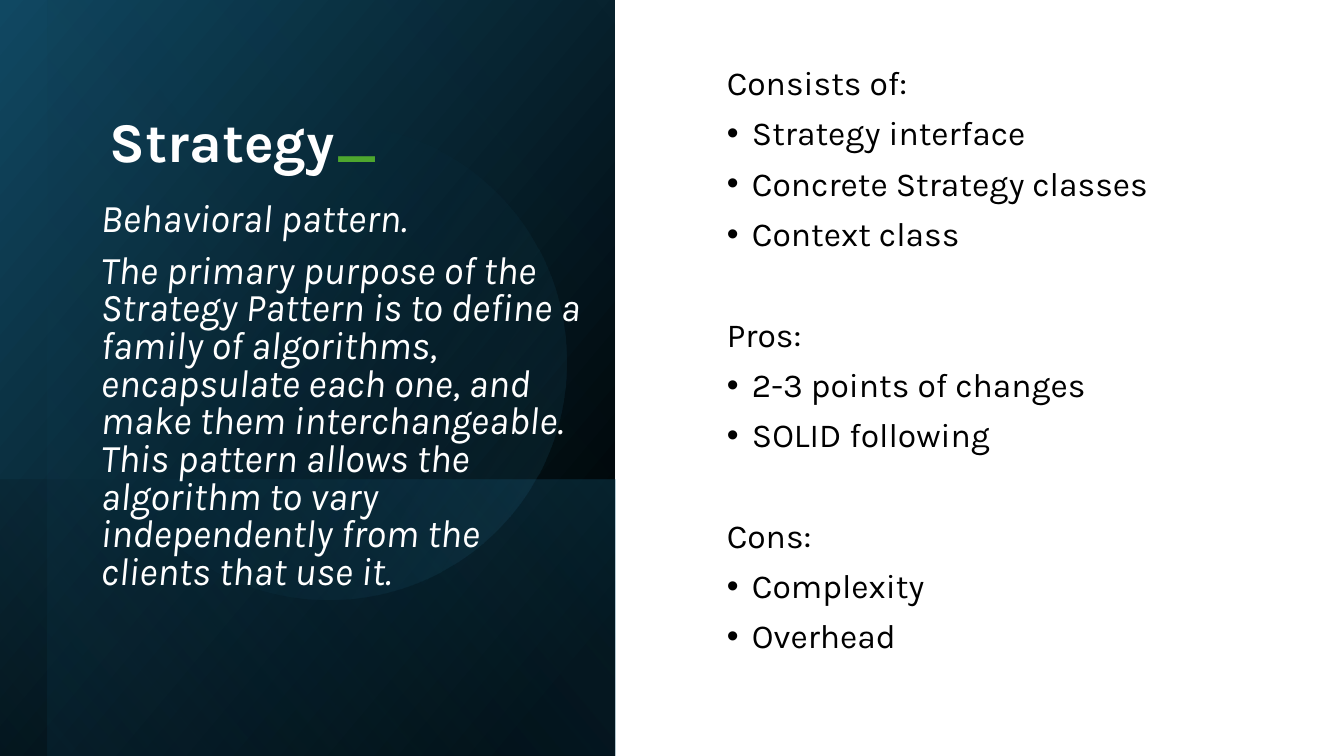
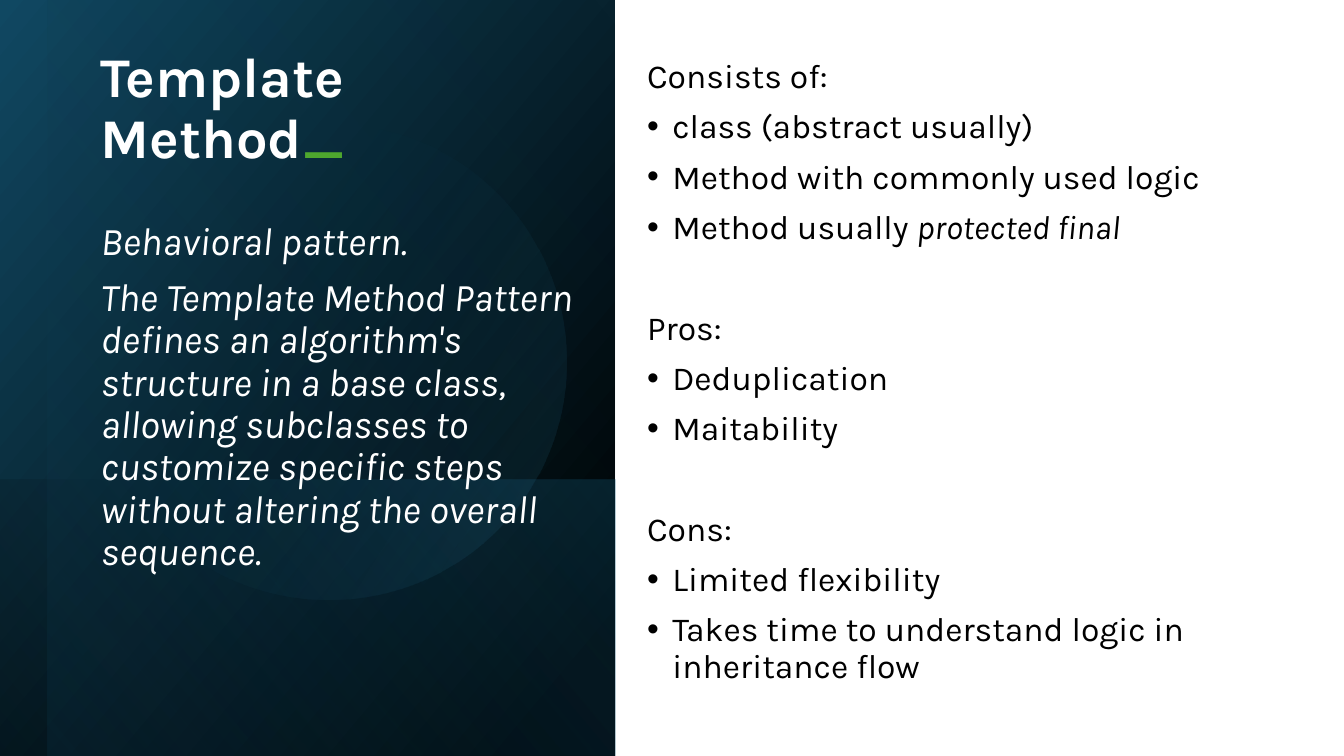
from lxml import etree
from pptx import Presentation
from pptx.dml import color
from pptx.enum import shapes, text
from pptx.oxml import ns
from pptx.util import Inches, Pt

FONT = "Karla"
COLORS = {
    "black": "000000",
    "white": "FFFFFF",
    "navy": "104862",
    "teal": "156082",
    "sky": "46B1E1",
    "green": "4EA72E",
}
PANEL = (0, 0, 6.1, 7.5)
RECT, OVAL = shapes.MSO_SHAPE.RECTANGLE, shapes.MSO_SHAPE.OVAL
LAYERS = [
    (RECT, (0, 0, 6.1, 7.5), 90, True, 50, [(8, "black", 100), (100, "navy", 100)]),
    (RECT, (0, 4.76, 6.1, 2.74), 90, True, 130, [(2, "teal", 29), (100, "black", 30)]),
    (RECT, (0.47, 0, 5.63, 7.5), 90, True, 130, [(0, "black", 0), (99, "teal", 11)]),
    (OVAL, (0.9, 1.23, 4.72, 4.72), 101.6, False, 290, [(39, "teal", 0), (100, "sky", 15)]),
]
SLIDES = [
    {
        "title": "Strategy",
        "title_box": (0.99, 0.46, 4.37, 1.32),
        "summary": [
            "Behavioral pattern.",
            "The primary purpose of the Strategy Pattern is to define a family of "
            "algorithms, encapsulate each one, and make them interchangeable. This "
            "pattern allows the algorithm to vary independently from the clients "
            "that use it.",
        ],
        "summary_spacing": 0.8,
        "details_box": (7.11, 0.66, 5.32, 5.85),
        "details": {
            "Consists of:": [["Strategy interface"], ["Concrete Strategy classes"], ["Context class"]],
            "Pros:": [["2-3 points of changes"], ["SOLID following"]],
            "Cons:": [["Complexity"], ["Overhead"]],
        },
    },
    {
        "title": "Template Method",
        "title_box": (0.9, 0.92, 4.63, 0.82),
        "summary": [
            "Behavioral pattern.",
            "The Template Method Pattern defines an algorithm's structure in a base "
            "class, allowing subclasses to customize specific steps without altering "
            "the overall sequence.",
        ],
        "summary_spacing": 0.9,
        "details_box": (6.32, 0.77, 6.74, 5.85),
        "details": {
            "Consists of:": [
                ["class (abstract usually)"],
                ["Method with commonly used logic"],
                ["Method usually ", "protected final"],
            ],
            "Pros:": [["Deduplication"], ["Maitability"]],
            "Cons:": [["Limited flexibility"], ["Takes time to understand logic in inheritance flow"]],
        },
    },
]


def fill_gradient(shape, angle, stops):
    """Fill a shape with stops of (position, colour name, opacity) in percent."""
    shape.fill.gradient()
    shape.fill.gradient_angle = 360 - angle
    stop_list = shape._element.spPr.find(ns.qn("a:gradFill")).find(ns.qn("a:gsLst"))
    for old_stop in list(stop_list):
        stop_list.remove(old_stop)
    for position, name, opacity in stops:
        stop = etree.SubElement(stop_list, ns.qn("a:gs"), pos=str(position * 1000))
        tint = etree.SubElement(stop, ns.qn("a:srgbClr"), val=COLORS[name])
        if opacity < 100:
            etree.SubElement(tint, ns.qn("a:alpha"), val=str(opacity * 1000))


def add_panel(page, box):
    """Stack the gradient layers of the dark panel, each turned about its centre."""
    for kind, (left, top, width, height), turn, flipped, angle, stops in LAYERS:
        shift = (width - height) / 2
        layer = page.shapes.add_shape(
            kind,
            Inches(box[0] + left + shift),
            Inches(box[1] + top - shift),
            Inches(height),
            Inches(width),
        )
        layer.rotation = turn
        if flipped:
            layer._element.spPr.xfrm.set("flipH", "1")
        layer.shadow.inherit = False
        layer.line.fill.background()
        fill_gradient(layer, angle, stops)


def add_frame(page, box, anchor):
    """Add a wrapping text box and return its text frame."""
    frame = page.shapes.add_textbox(*map(Inches, box)).text_frame
    frame.word_wrap = True
    frame.vertical_anchor = anchor
    return frame


def add_para(frame, spacing=0.9, before=10):
    """Return the empty first paragraph of a frame, or a new one."""
    first = frame.paragraphs[0]
    para = frame.add_paragraph() if first.runs else first
    para.line_spacing = spacing
    para.space_before = Pt(before)
    return para


def add_span(para, words, size, name, bold=False, italic=False):
    """Add one styled run."""
    span = para.add_run()
    span.text = words
    font = span.font
    font.name, font.size, font.bold, font.italic = FONT, Pt(size), bold, italic
    font.color.rgb = color.RGBColor.from_string(COLORS[name])


def add_bullet(para):
    """Give a paragraph a hanging round bullet."""
    settings = para._p.get_or_add_pPr()
    settings.set("marL", str(Inches(0.25)))
    settings.set("indent", str(-Inches(0.25)))
    etree.SubElement(settings, ns.qn("a:buFont"), typeface="Arial")
    etree.SubElement(settings, ns.qn("a:buChar"), char="•")


def add_title(page, box, title):
    """Write the title with its green underscore."""
    para = add_para(add_frame(page, box, text.MSO_ANCHOR.BOTTOM), before=0)
    add_span(para, title, 40, "white", bold=True)
    add_span(para, "_", 40, "green", bold=True)


def add_summary(page, box, paragraphs, spacing):
    """Write the italic description on the dark panel."""
    frame = add_frame(page, box, text.MSO_ANCHOR.MIDDLE)
    for words in paragraphs:
        add_span(add_para(frame, spacing), words, 28, "white", italic=True)


def add_details(page, box, sections):
    """Write headed bullet lists, with the second run of an item in italics."""
    frame = add_frame(page, box, text.MSO_ANCHOR.MIDDLE)
    for number, (heading, items) in enumerate(sections.items()):
        add_span(add_para(frame, before=46 if number else 10), heading, 24, "black")
        for item in items:
            para = add_para(frame)
            add_bullet(para)
            for index, words in enumerate(item):
                add_span(para, words, 24, "black", italic=index == 1)


def add_pattern_slide(deck, content):
    """Build the slide of one design pattern."""
    page = deck.slides.add_slide(deck.slide_layouts[6])
    add_panel(page, PANEL)
    add_title(page, content["title_box"], content["title"])
    add_details(page, content["details_box"], content["details"])
    summary_box = (PANEL[0] + 0.9, PANEL[1] + 1.76, 4.98, 4.37)
    add_summary(page, summary_box, content["summary"], content["summary_spacing"])


def main():
    """Build and save the deck."""
    deck = Presentation()
    deck.slide_width, deck.slide_height = Inches(13.33), Inches(7.5)
    for content in SLIDES:
        add_pattern_slide(deck, content)
    deck.save("out.pptx")


if __name__ == "__main__":
    main()
